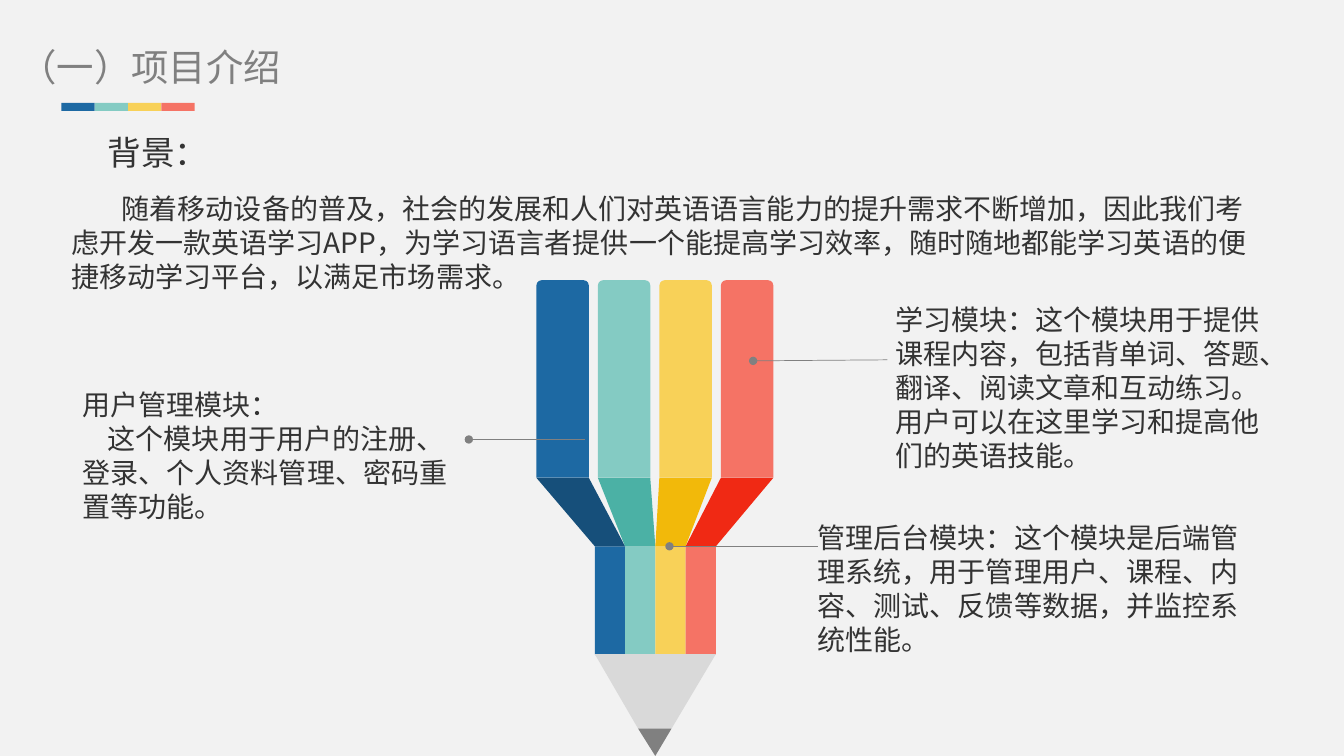
"""Build the project introduction slide with a four-colour pencil diagram."""
from lxml import etree
from pptx import Presentation
from pptx.dml.color import RGBColor
from pptx.enum.shapes import MSO_CONNECTOR, MSO_SHAPE
from pptx.enum.text import MSO_AUTO_SIZE
from pptx.oxml.ns import qn
from pptx.util import Pt

PX = 9144
RECT = MSO_SHAPE.RECTANGLE
ROUND_TOP = MSO_SHAPE.ROUND_2_SAME_RECTANGLE
STRAIGHT = MSO_CONNECTOR.STRAIGHT
FIT = MSO_AUTO_SIZE.SHAPE_TO_FIT_TEXT
CJK = "Noto Sans CJK SC"

COLORS = {
    "bg": "F2F2F2", "text": "333333", "gray": "808080", "wood": "D9D9D9",
    "blue": "1D69A3", "teal": "84CBC3", "yellow": "F8D158", "red": "F57365",
    "blue_dark": "164F7A", "teal_dark": "4BB1A5",
    "yellow_dark": "F2B90A", "red_dark": "F02914",
}
STRIPES = ["blue", "teal", "yellow", "red"]

# box, inset (x, y), size, line height, colour, latin font, [(indent, text)]
TEXTS = [
    ((19, 44, 405, 45), (0, 0), 26.7, 32.2, "gray", CJK,
     [(0, "（一）项目介绍")]),
    ((97, 126, 125, 50), (10, 5), 24, 29, "text", "Calibri",
     [(0, "背景：")]),
    ((61, 185, 1190, 111), (10, 5), 20, 24.2, "text", CJK,
     [(50, "随着移动设备的普及，社会的发展和人们对英语语言能力的提升需求不断增加，"
           "因此我们考虑开发一款英语学习APP，为学习语言者提供一个能提高学习效率，"
           "随时随地都能学习英语的便捷移动学习平台，以满足市场需求。")]),
    ((888, 300, 369, 168), (0, 0), 20, 24.2, "text", CJK,
     [(0, "学习模块：这个模块用于提供课程内容，包括背单词、答题、翻译、阅读文章"
          "和互动练习。用户可以在这里学习和提高他们的英语技能。")]),
    ((811, 516, 418, 153), (0, 0), 20, 24.2, "text", CJK,
     [(0, "管理后台模块：这个模块是后端管理系统，用于管理用户、课程、内容、测试、"
          "反馈等数据，并监控系统性能。")]),
    ((82, 384, 376, 153), (0, 0), 20, 24.2, "text", CJK,
     [(0, "用户管理模块："),
      (25, "这个模块用于用户的注册、登录、个人资料管理、密码重置等功能。")]),
]
LEADERS = [(747, 358, 880, 357), (664, 542, 811, 542), (465, 436, 580, 436)]

BAR_X, BAR_STEP, BAR_W, BAR_TOP, BAR_END = 532, 61, 52, 278, 474
BODY_X, BODY_W, BODY_TOP, BODY_END, BODY_TIP = 590, 30, 542, 649, 664
BODY_RIGHT = BODY_X + len(STRIPES) * BODY_W
LEAD_LEFT, LEAD_RIGHT, LEAD_TOP, LEAD_TIP = 633, 666, 723, 750
RULE_X, RULE_Y, RULE_W, RULE_H = 61, 102, 33, 8


def rgb(name):
    return RGBColor.from_string(COLORS[name])


def paint(sp, color):
    sp.shadow.inherit = False
    sp.fill.solid()
    sp.fill.fore_color.rgb = rgb(color)
    sp.line.fill.background()
    return sp


def add_block(shapes, kind, box, color):
    return paint(shapes.add_shape(kind, *[v * PX for v in box]), color)


def add_polygon(shapes, points, color):
    fb = shapes.build_freeform(*points[0], scale=PX)
    fb.add_line_segments(points[1:], close=True)
    return paint(fb.convert_to_shape(), color)


def add_text(shapes, box, inset, size, leading, color, font, paragraphs):
    tf = shapes.add_textbox(*[v * PX for v in box]).text_frame
    tf.word_wrap = True
    tf.auto_size = FIT
    tf.margin_left = tf.margin_right = inset[0] * PX
    tf.margin_top = tf.margin_bottom = inset[1] * PX
    for i, (indent, text) in enumerate(paragraphs):
        p = tf.add_paragraph() if i else tf.paragraphs[0]
        p.line_spacing = Pt(leading)
        if indent:
            pPr = p._p.get_or_add_pPr()
            pPr.set("marL", "0")
            pPr.set("indent", str(indent * PX))
        r = p.add_run()
        r.text = text
        r.font.size = Pt(size)
        r.font.color.rgb = rgb(color)
        r.font.name = font
        ea = etree.SubElement(r._r.get_or_add_rPr(), qn("a:ea"))
        ea.set("typeface", CJK)


def add_leader(shapes, ends):
    line = shapes.add_connector(STRAIGHT, *[v * PX for v in ends])
    line.line.color.rgb = rgb("gray")
    line.line.width = Pt(0.5)
    head = etree.SubElement(line.line._get_or_add_ln(), qn("a:headEnd"))
    head.set("type", "oval")
    etree.SubElement(line._element.spPr, qn("a:effectLst"))


def add_pencil(shapes):
    for i, color in enumerate(STRIPES):
        bar = BAR_X + i * BAR_STEP
        left = BODY_X + i * BODY_W
        right = left + BODY_W
        sp = add_block(shapes, ROUND_TOP,
                       (bar, BAR_TOP, BAR_W, BAR_END - BAR_TOP), color)
        sp.adjustments[0] = 0.1
        add_polygon(shapes, [(left, BODY_TOP), (right, BODY_TOP), (right, BODY_END),
                             (left + BODY_W // 2, BODY_TIP), (left, BODY_END)], color)
        add_polygon(shapes, [(bar, BAR_END), (bar + BAR_W, BAR_END),
                             (right, BODY_TOP), (left, BODY_TOP)], color + "_dark")
    add_polygon(shapes, [(BODY_X, BODY_END), (BODY_RIGHT, BODY_END),
                         (LEAD_RIGHT, LEAD_TOP), (LEAD_LEFT, LEAD_TOP)], "wood")
    add_polygon(shapes, [(LEAD_LEFT, LEAD_TOP), (LEAD_RIGHT, LEAD_TOP),
                         ((BODY_X + BODY_RIGHT) // 2, LEAD_TIP)], "gray")


def main():
    prs = Presentation()
    prs.slide_width, prs.slide_height = 1333 * PX, 750 * PX
    s = prs.slides.add_slide(prs.slide_layouts[6])
    s.background.fill.solid()
    s.background.fill.fore_color.rgb = rgb("bg")
    add_pencil(s.shapes.add_group_shape().shapes)
    rule = s.shapes.add_group_shape().shapes
    for i, color in enumerate(STRIPES):
        add_block(rule, RECT, (RULE_X + i * RULE_W, RULE_Y, RULE_W, RULE_H), color)
    for ends in LEADERS:
        add_leader(s.shapes, ends)
    for item in TEXTS:
        add_text(s.shapes, *item)
    prs.save("out.pptx")


if __name__ == "__main__":
    main()
